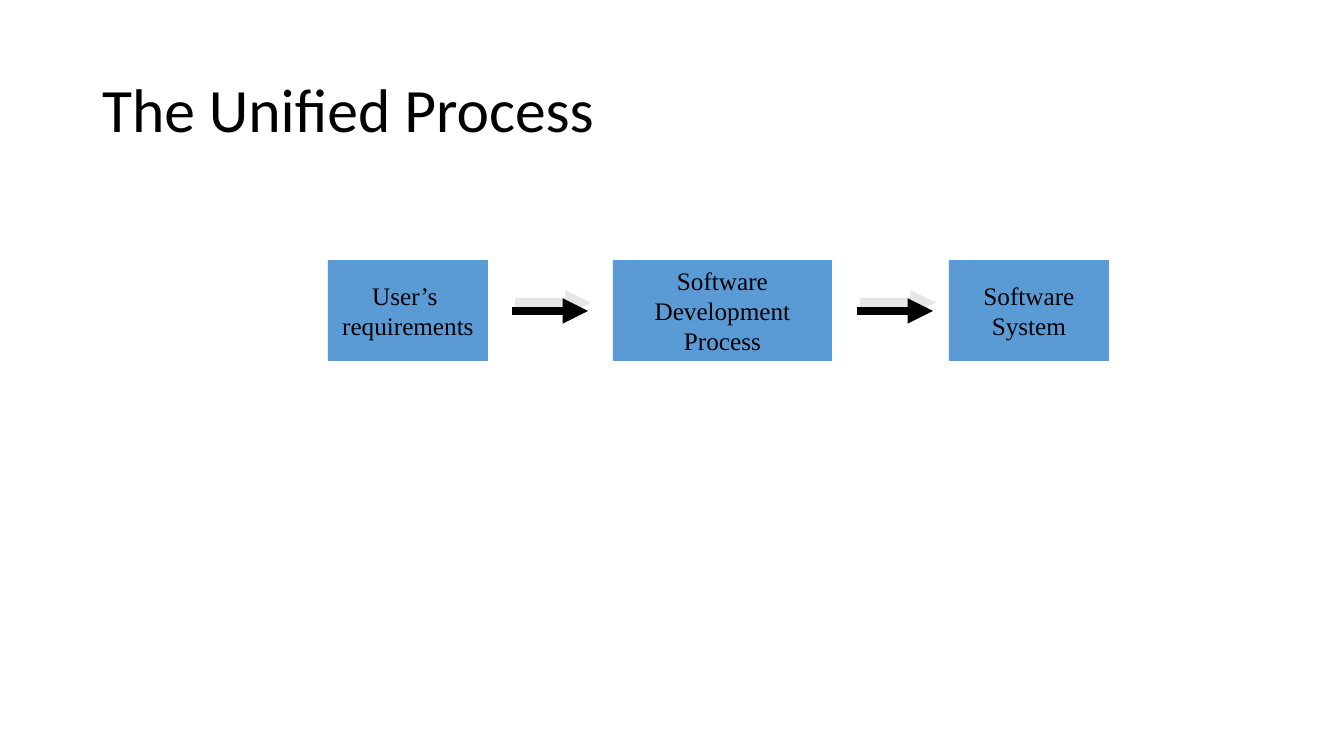
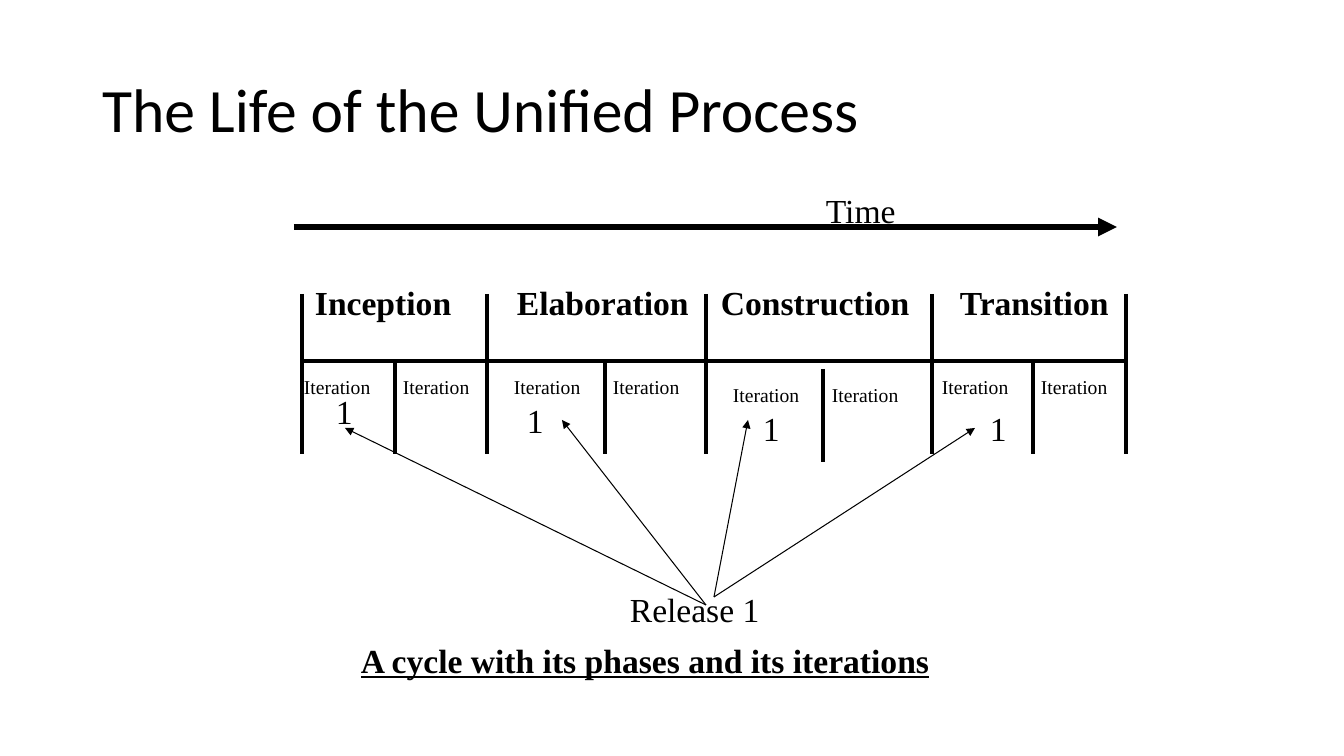
import dataclasses

import lxml.etree
import pptx
import pptx.dml.color
import pptx.enum.shapes
import pptx.enum.text
import pptx.oxml.ns
import pptx.util


@dataclasses.dataclass(frozen=True)
class Theme:
    ink: str = "000000"
    box_fill: str = "5B9BD5"
    shadow: str = "E7E6E6"
    title_font: str = "Calibri"
    body_font: str = "Times New Roman"
    title_size: int = 44
    label_size: int = 24
    box_size: int = 18
    iteration_size: int = 14
    flow_line: float = 6
    time_line: float = 4.5
    axis_line: float = 3
    divider_line: float = 2.25
    release_line: float = 0.75


theme = Theme()
PIXEL = 914400 / 100.8
LEFT = pptx.enum.text.PP_ALIGN.LEFT
CENTER = pptx.enum.text.PP_ALIGN.CENTER
TOP = pptx.enum.text.MSO_ANCHOR.TOP
MIDDLE = pptx.enum.text.MSO_ANCHOR.MIDDLE


def write_text(shape, bounds, text, size, font=theme.body_font, bold=False,
               underline=False, align=LEFT, anchor=TOP, wrap=True, spacing=1.0):
    """Place a shape and fill it with text in one style."""
    shape.left, shape.top, shape.width, shape.height = [round(length * PIXEL) for length in bounds]
    frame = shape.text_frame
    frame.text = text
    frame.word_wrap = wrap
    frame.auto_size = pptx.enum.text.MSO_AUTO_SIZE.NONE
    frame.vertical_anchor = anchor
    for para in frame.paragraphs:
        para.alignment = align
        para.line_spacing = spacing
        for span in para.runs:
            span.font.name = font
            span.font.size = pptx.util.Pt(size)
            span.font.bold = bold
            span.font.underline = underline
            span.font.color.rgb = pptx.dml.color.RGBColor.from_string(theme.ink)


def draw_line(page, start, end, weight, arrow=False, shadow=False):
    """Draw a straight line, with an arrowhead at its end if asked."""
    ends = [round(length * PIXEL) for length in (*start, *end)]
    line = page.shapes.add_connector(pptx.enum.shapes.MSO_CONNECTOR.STRAIGHT, *ends)
    line.line.width = pptx.util.Pt(weight)
    line.line.color.rgb = pptx.dml.color.RGBColor.from_string(theme.ink)
    name = pptx.oxml.ns.qn
    if arrow:
        lxml.etree.SubElement(line.line._get_or_add_ln(), name("a:tailEnd"), type="triangle")
    effects = lxml.etree.SubElement(line._element.spPr, name("a:effectLst"))
    if shadow:
        outer = lxml.etree.SubElement(effects, name("a:outerShdw"), dist="80000",
                                      dir=str(288 * 60000), algn="ctr", rotWithShape="0")
        lxml.etree.SubElement(outer, name("a:srgbClr"), val=theme.shadow)


deck = pptx.Presentation()
deck.slide_width = round(1344 * PIXEL)
deck.slide_height = round(756 * PIXEL)

# Pages and their titles
pages = []
for title in ("The Unified Process", "The Life of the Unified Process"):
    page = deck.slides.add_slide(deck.slide_layouts[5])
    write_text(page.shapes.title, (92, 40, 1159, 146), title, theme.title_size,
               font=theme.title_font, anchor=MIDDLE, spacing=0.9)
    pages.append(page)
process_page, life_page = pages

# Process: boxes joined by arrows
for left, width, text in (
    (328, 160, "User’s \nrequirements"),
    (613, 219, "Software\nDevelopment\nProcess"),
    (949, 160, "Software\nSystem"),
):
    box = process_page.shapes.add_shape(pptx.enum.shapes.MSO_SHAPE.RECTANGLE, 0, 0, 0, 0)
    box.shadow.inherit = False
    box.fill.solid()
    box.fill.fore_color.rgb = pptx.dml.color.RGBColor.from_string(theme.box_fill)
    box.line.fill.background()
    write_text(box, (left, 260, width, 101), text, theme.box_size,
               align=CENTER, anchor=MIDDLE, wrap=False)
for left in (512, 857):
    draw_line(process_page, (left, 311), (left + 76, 311), theme.flow_line, arrow=True, shadow=True)

# Life: time arrow, phase axis and phase borders
axis_y, border_top, border_bottom = 361, 294, 454
borders = (302, 487, 706, 932, 1126)
draw_line(life_page, (294, 227), (1117, 227), theme.time_line, arrow=True)
draw_line(life_page, (borders[0], axis_y), (borders[-1], axis_y), theme.axis_line)
for border in borders:
    draw_line(life_page, (border, border_top), (border, border_bottom), theme.divider_line)

# Life: each phase with two iterations and an arrow from the release
# name, name left, divider, drop, iteration left, number left and top, arrow start and end
phases = (
    ("Inception", 305, 395, 0, 294, (326, 386), (706, 605), (345, 428)),
    ("Elaboration", 507, 605, 0, 504, (517, 395), (706, 605), (562, 420)),
    ("Construction", 711, 823, 8, 723, (753, 403), (714, 597), (748, 420)),
    ("Transition", 950, 1033, 0, 932, (980, 403), (714, 597), (975, 428)),
)
for name, name_left, divider, drop, iteration_left, number, start, end in phases:
    write_text(life_page.shapes.add_textbox(0, 0, 0, 0), (name_left, 277, 226, 50),
               name, theme.label_size, bold=True)
    draw_line(life_page, (divider, axis_y + drop), (divider, border_bottom + drop),
              theme.divider_line)
    for left in (iteration_left, iteration_left + 99):
        write_text(life_page.shapes.add_textbox(0, 0, 0, 0), (left, 370 + drop, 94, 34),
                   "Iteration", theme.iteration_size)
    write_text(life_page.shapes.add_textbox(0, 0, 0, 0), (*number, 40, 50),
               "1", theme.label_size)
    draw_line(life_page, start, end, theme.release_line, arrow=True)

# Life: time, release and closing line
for bounds, text, strong in (
    ((816, 185, 100, 50), "Time", False),
    ((620, 584, 160, 50), "Release 1", False),
    ((351, 635, 600, 50), "A cycle with its phases and its iterations", True),
):
    write_text(life_page.shapes.add_textbox(0, 0, 0, 0), bounds, text, theme.label_size,
               bold=strong, underline=strong)

deck.save("out.pptx")
